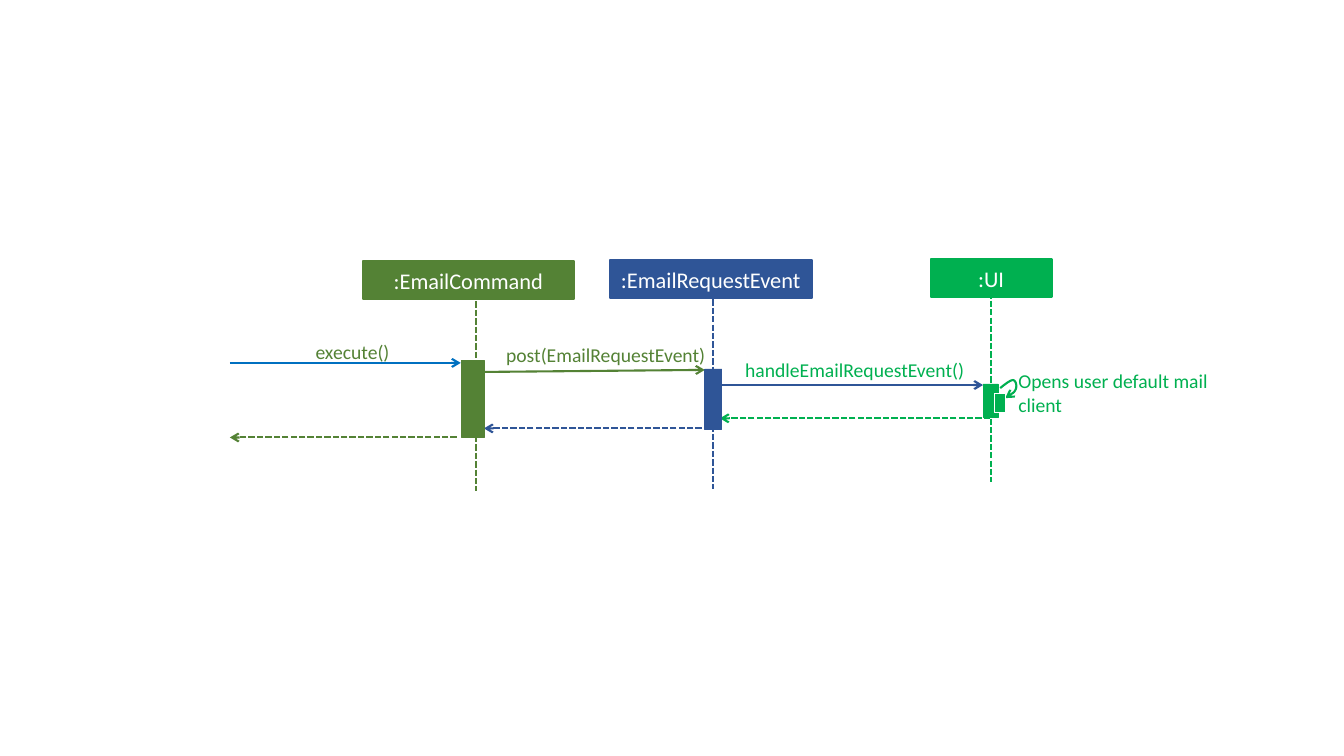
from lxml import etree
from pptx import Presentation
from pptx.dml.color import RGBColor
from pptx.enum.dml import MSO_LINE
from pptx.enum.shapes import MSO_CONNECTOR, MSO_SHAPE
from pptx.enum.text import MSO_ANCHOR, PP_ALIGN
from pptx.oxml.ns import qn
from pptx.util import Inches, Pt

RECT = MSO_SHAPE.RECTANGLE
STRAIGHT = MSO_CONNECTOR.STRAIGHT
DASH = MSO_LINE.SQUARE_DOT
MIDDLE = MSO_ANCHOR.MIDDLE
CENTER = PP_ALIGN.CENTER

WHITE = RGBColor(0xFF, 0xFF, 0xFF)
OLIVE = RGBColor(0x54, 0x82, 0x35)
NAVY = RGBColor(0x2F, 0x55, 0x97)
GREEN = RGBColor(0x00, 0xB0, 0x50)
BLUE = RGBColor(0x00, 0x70, 0xC0)

FONT = "Calibri"
HEADER_HEIGHT = 0.38
LIFELINE_LENGTH = 1.88

# name, colour, header (left, top, width), lifeline (x, top), activation bar
PARTICIPANTS = [
    (":UI", GREEN, (9.23, 2.57, 1.2), (9.83, 2.9), (9.75, 3.81, 0.15, 0.33)),
    (":EmailRequestEvent", NAVY, (6.05, 2.58, 2), (7.07, 2.97), (6.99, 3.66, 0.17, 0.6)),
    (":EmailCommand", OLIVE, (3.6, 2.59, 2.09), (4.72, 2.99), (4.58, 3.58, 0.22, 0.76)),
]

# colour, sender point, receiver point, is a return
MESSAGES = [
    (BLUE, (2.28, 3.6), (4.57, 3.6), False),
    (OLIVE, (4.81, 3.69), (6.99, 3.67), False),
    (NAVY, (7.15, 3.82), (9.75, 3.82), False),
    (GREEN, (9.82, 4.15), (7.14, 4.15), True),
    (NAVY, (6.96, 4.25), (4.8, 4.25), True),
    (OLIVE, (4.53, 4.34), (2.28, 4.34), True),
]

# text, colour, left, top, width, height
LABELS = [
    ("execute()", OLIVE, 3.13, 3.37, 1.56, 0.24),
    ("post(EmailRequestEvent)", OLIVE, 5.02, 3.4, 2.67, 0.24),
    ("handleEmailRequestEvent()", GREEN, 7.39, 3.55, 2.91, 0.24),
    ("Opens user default mail client", GREEN, 10.1, 3.66, 2.04, 0.47),
]

SELF_CALL_BAR = (9.86, 3.9, 0.11, 0.19)
SELF_CALL_CURVES = [
    ((9.92, 3.85), (9.97, 3.81), (10.02, 3.77), (10.05, 3.77)),
    ((10.05, 3.77), (10.08, 3.78), (10.09, 3.84), (10.07, 3.87)),
    ((10.07, 3.87), (10.06, 3.9), (10.01, 3.92), (9.97, 3.95)),
]
CURVE_STEPS = 8


def write(shape, text, size, color):
    p = shape.text_frame.paragraphs[0]
    r = p.add_run()
    r.text = text
    for name, value in {"name": FONT, "size": Pt(size)}.items():
        setattr(r.font, name, value)
    r.font.color.rgb = color
    return p


def add_rect(shapes, box, fill, line, weight):
    sp = shapes.add_shape(RECT, *map(Inches, box))
    sp.shadow.inherit = False
    sp.fill.solid()
    sp.fill.fore_color.rgb = fill
    sp.line.color.rgb = line
    sp.line.width = Pt(weight)
    return sp


def add_arrowhead(shape):
    ln = shape.line._get_or_add_ln()
    etree.SubElement(ln, qn("a:tailEnd"), type="arrow")


def add_line(shapes, start, end, color, dashed=False):
    cxn = shapes.add_connector(STRAIGHT, *map(Inches, start + end))
    cxn.line.color.rgb = color
    cxn.line.width = Pt(1.5)
    if dashed:
        cxn.line.dash_style = DASH
    etree.SubElement(cxn._element.spPr, qn("a:effectLst"))
    return cxn


def add_message(shapes, color, start, end, is_return):
    add_arrowhead(add_line(shapes, start, end, color, is_return))


def add_participant(shapes, name, color, header, lifeline, bar):
    """Add the header, the dashed lifeline and the activation bar."""
    sp = add_rect(shapes, header + (HEADER_HEIGHT,), color, color, 1.5)
    sp.text_frame.word_wrap = True
    sp.text_frame.vertical_anchor = MIDDLE
    write(sp, name, 16, WHITE).alignment = CENTER
    x, top = lifeline
    add_line(shapes, lifeline, (x, top + LIFELINE_LENGTH), color, dashed=True)
    add_rect(shapes, bar, color, color, 0.5)


def add_label(shapes, text, color, *box):
    tb = shapes.add_textbox(*map(Inches, box))
    tf = tb.text_frame
    tf.word_wrap = True
    for side in ("left", "top", "right", "bottom"):
        setattr(tf, f"margin_{side}", 0)
    write(tb, text, 14, color)


def bezier_point(curve, t):
    weights = ((1 - t) ** 3, 3 * t * (1 - t) ** 2, 3 * t ** 2 * (1 - t), t ** 3)
    return tuple(
        Inches(sum(w * c for w, c in zip(weights, axis))) for axis in zip(*curve)
    )


def add_self_call(shapes):
    """Add the looping arrow and the nested activation bar as one group."""
    group = shapes.add_group_shape()
    points = [
        bezier_point(curve, step / CURVE_STEPS)
        for curve in SELF_CALL_CURVES
        for step in range(1, CURVE_STEPS + 1)
    ]
    start = bezier_point(SELF_CALL_CURVES[0], 0)
    builder = group.shapes.build_freeform(*start)
    builder.add_line_segments(points, close=False)
    loop = builder.convert_to_shape()
    loop.shadow.inherit = False
    loop.fill.background()
    loop.line.color.rgb = GREEN
    loop.line.width = Pt(1.5)
    add_arrowhead(loop)
    add_rect(group.shapes, SELF_CALL_BAR, GREEN, WHITE, 0.5)


def main():
    prs = Presentation()
    prs.slide_width = Inches(13.33)
    prs.slide_height = Inches(7.5)
    shapes = prs.slides.add_slide(prs.slide_layouts[6]).shapes
    for message in MESSAGES:
        add_message(shapes, *message)
    for participant in PARTICIPANTS:
        add_participant(shapes, *participant)
    add_self_call(shapes)
    for label in LABELS:
        add_label(shapes, *label)
    prs.save("out.pptx")


if __name__ == "__main__":
    main()
